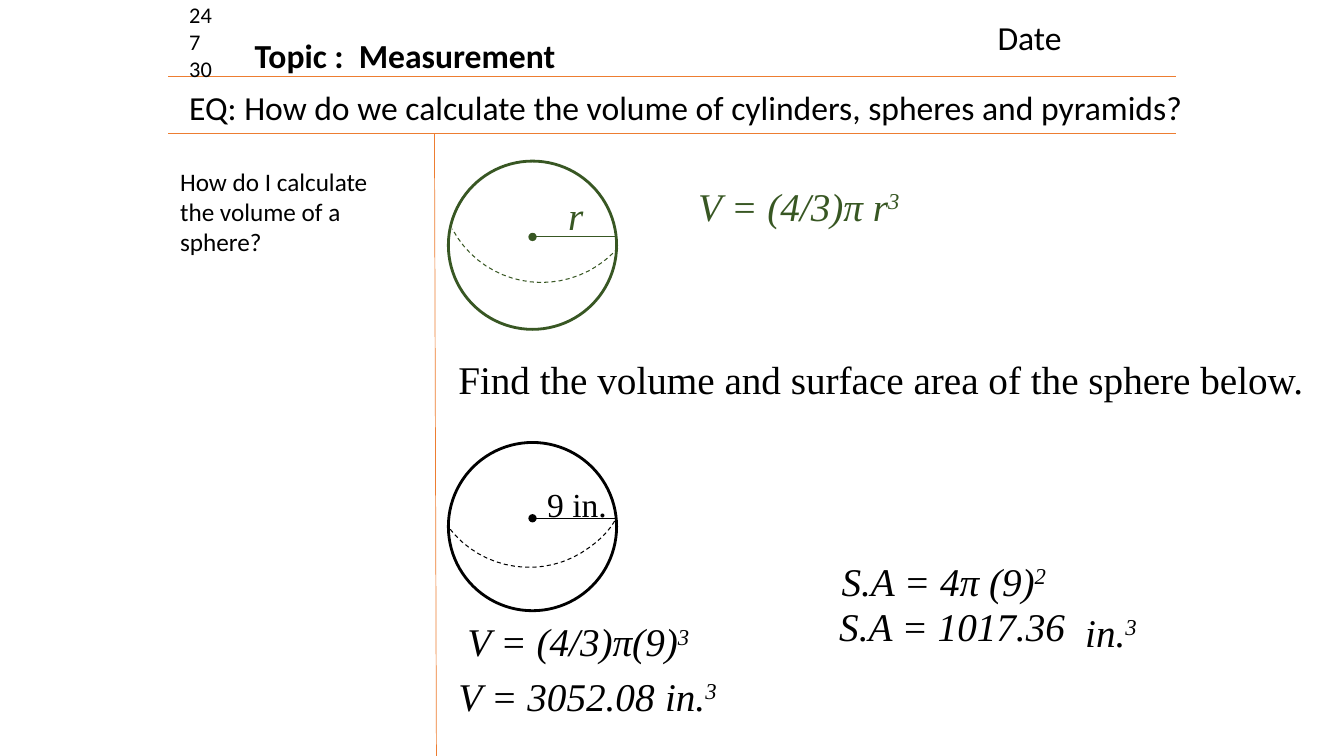
from lxml.etree import SubElement
from pptx import Presentation
from pptx.dml.color import RGBColor
from pptx.enum.dml import MSO_LINE
from pptx.enum.shapes import MSO_CONNECTOR, MSO_SHAPE
from pptx.enum.text import MSO_AUTO_SIZE, PP_ALIGN
from pptx.oxml.ns import qn
from pptx.util import Cm, Pt

ORANGE, GREEN, BLACK = "ED7D31", "385723", "000000"
SANS, SERIF = "Calibri", "Times New Roman"

# Lengths are in centimetres.
RULES = [
    ((4.24, 1.93), (29.64, 1.93)),
    ((4.24, 3.35), (29.64, 3.35)),
    ((10.95, 3.38), (11.0, 19.56)),
]

# (left, top, width, height), lines, size, options
NOTES = [
    ((4.52, -0.1, 1.35, 2.31), ["24", "7", "30"], 16, {}),
    ((24.89, 0.3, 4.39, 1.27), ["Date"], 24, {}),
    ((4.52, 2.06, 26.92, 1.27),
     ["EQ: How do we calculate the volume of cylinders, spheres and pyramids?"], 24, {}),
    ((6.17, 0.76, 8.15, 1.27), ["Topic :  Measurement"], 24, {"bold": True, "wrap": False}),
    ((4.29, 4.06, 5.99, 2.57), ["How do I calculate the volume of a sphere?"], 18, {}),
    ((11.3, 8.84, 25.4, 1.45),
     ["Find the volume and surface area of the sphere below."], 28, {"font": SERIF}),
]

# (left, top, width), base, exponent, colour, alignment
FORMULAS = [
    ((17.27, 4.47, 5.72), "V = (4/3)π r", "3", GREEN, PP_ALIGN.CENTER),
    ((11.53, 15.44, 6.48), "V = (4/3)π(9)", "3", BLACK, PP_ALIGN.LEFT),
    ((11.3, 16.81, 5.56), "V = 3052.08", "", BLACK, PP_ALIGN.LEFT),
    ((16.51, 16.81, 1.98), "in.", "3", BLACK, PP_ALIGN.LEFT),
    ((20.96, 13.92, 7.21), "S.A = 4π (9)", "2", BLACK, PP_ALIGN.LEFT),
    ((27.1, 15.21, 1.98), "in.", "3", BLACK, PP_ALIGN.LEFT),
    ((20.9, 15.06, 6.48), "S.A = 1017.36", "", BLACK, PP_ALIGN.LEFT),
]
FORMULA_HEIGHT = 1.45

SPHERE_LEFT, DIAMETER, RADIUS_DROP = 11.3, 4.24, 1.91
# top, colour, equator as two joined Bézier curves, label box, label, size, italic
SPHERES = [
    (4.06, GREEN,
     [(15.57, 6.25), (15.37, 6.48), (15.11, 6.68), (14.83, 6.83),
      (13.59, 7.47), (12.06, 7.01), (11.4, 5.77)],
     (14.07, 4.7, 1.27, 1.45), "r", 28, True),
    (11.15, BLACK,
     [(15.49, 13.13), (15.34, 13.39), (15.11, 13.61), (14.86, 13.79),
      (13.74, 14.63), (12.14, 14.4), (11.3, 13.28)],
     (13.54, 12.06, 2.21, 1.3), "9 in.", 24, False),
]
CURVE_STEPS = 16


def rgb(value):
    return RGBColor.from_string(value)


def add_text(shapes, box, lines, size, font=SANS, color=BLACK, bold=False,
             italic=False, wrap=True, align=PP_ALIGN.LEFT, exponent=""):
    frame = shapes.add_textbox(*map(Cm, box)).text_frame
    frame.word_wrap = wrap
    frame.auto_size = MSO_AUTO_SIZE.SHAPE_TO_FIT_TEXT
    for index, line in enumerate(lines):
        paragraph = frame.add_paragraph() if index else frame.paragraphs[0]
        paragraph.alignment = align
        for text, raised in ((line, False), (exponent, True)):
            if not text:
                continue
            run = paragraph.add_run()
            run.text = text
            run.font.name, run.font.size = font, Pt(size)
            run.font.bold, run.font.italic = bold, italic
            run.font.color.rgb = rgb(color)
            if raised:
                run._r.get_or_add_rPr().set("baseline", "30000")


def style_line(shape, color, width):
    shape.line.color.rgb = rgb(color)
    shape.line.width = Pt(width)


def add_line(shapes, start, end, color, width, dot=False):
    """Draw a straight line, with a round dot at its start if asked."""
    line = shapes.add_connector(MSO_CONNECTOR.STRAIGHT, *map(Cm, start + end))
    style_line(line, color, width)
    properties = line._element.spPr
    if dot:
        SubElement(properties.find(qn("a:ln")), qn("a:headEnd"), type="oval")
    SubElement(properties, qn("a:effectLst"))


def curve_points(controls):
    """Sample a chain of cubic Bézier curves."""
    points = [controls[0]]
    for first in range(0, len(controls) - 1, 3):
        corners = controls[first:first + 4]
        for step in range(1, CURVE_STEPS + 1):
            t = step / CURVE_STEPS
            weights = ((1 - t) ** 3, 3 * t * (1 - t) ** 2, 3 * t ** 2 * (1 - t), t ** 3)
            points.append(tuple(sum(w * corner[axis] for w, corner in zip(weights, corners))
                                for axis in (0, 1)))
    return [(Cm(x), Cm(y)) for x, y in points]


def add_sphere(slide, top, color, equator, label_box, label, size, italic):
    shapes = slide.shapes.add_group_shape().shapes
    outline = shapes.add_shape(MSO_SHAPE.OVAL, Cm(SPHERE_LEFT), Cm(top),
                               Cm(DIAMETER), Cm(DIAMETER))
    start, *rest = curve_points(equator)
    builder = shapes.build_freeform(*start)
    builder.add_line_segments(rest, close=False)
    arc = builder.convert_to_shape()
    for shape, width in ((outline, 2), (arc, 0.75)):
        shape.shadow.inherit = False
        shape.fill.background()
        style_line(shape, color, width)
    arc.line.dash_style = MSO_LINE.DASH
    level = top + RADIUS_DROP
    add_line(shapes, (SPHERE_LEFT + DIAMETER / 2, level),
             (SPHERE_LEFT + DIAMETER, level), color, 0.75, dot=True)
    add_text(shapes, label_box, [label], size, font=SERIF, color=color, italic=italic)


def main():
    presentation = Presentation()
    presentation.slide_width, presentation.slide_height = Cm(33.87), Cm(19.05)
    slide = presentation.slides.add_slide(presentation.slide_layouts[6])
    for start, end in RULES:
        add_line(slide.shapes, start, end, ORANGE, 0.5)
    for box, lines, size, options in NOTES:
        add_text(slide.shapes, box, lines, size, **options)
    for sphere in SPHERES:
        add_sphere(slide, *sphere)
    for box, base, exponent, color, align in FORMULAS:
        add_text(slide.shapes, box + (FORMULA_HEIGHT,), [base], 28, font=SERIF,
                 color=color, italic=True, align=align, exponent=exponent)
    presentation.save("out.pptx")


if __name__ == "__main__":
    main()
